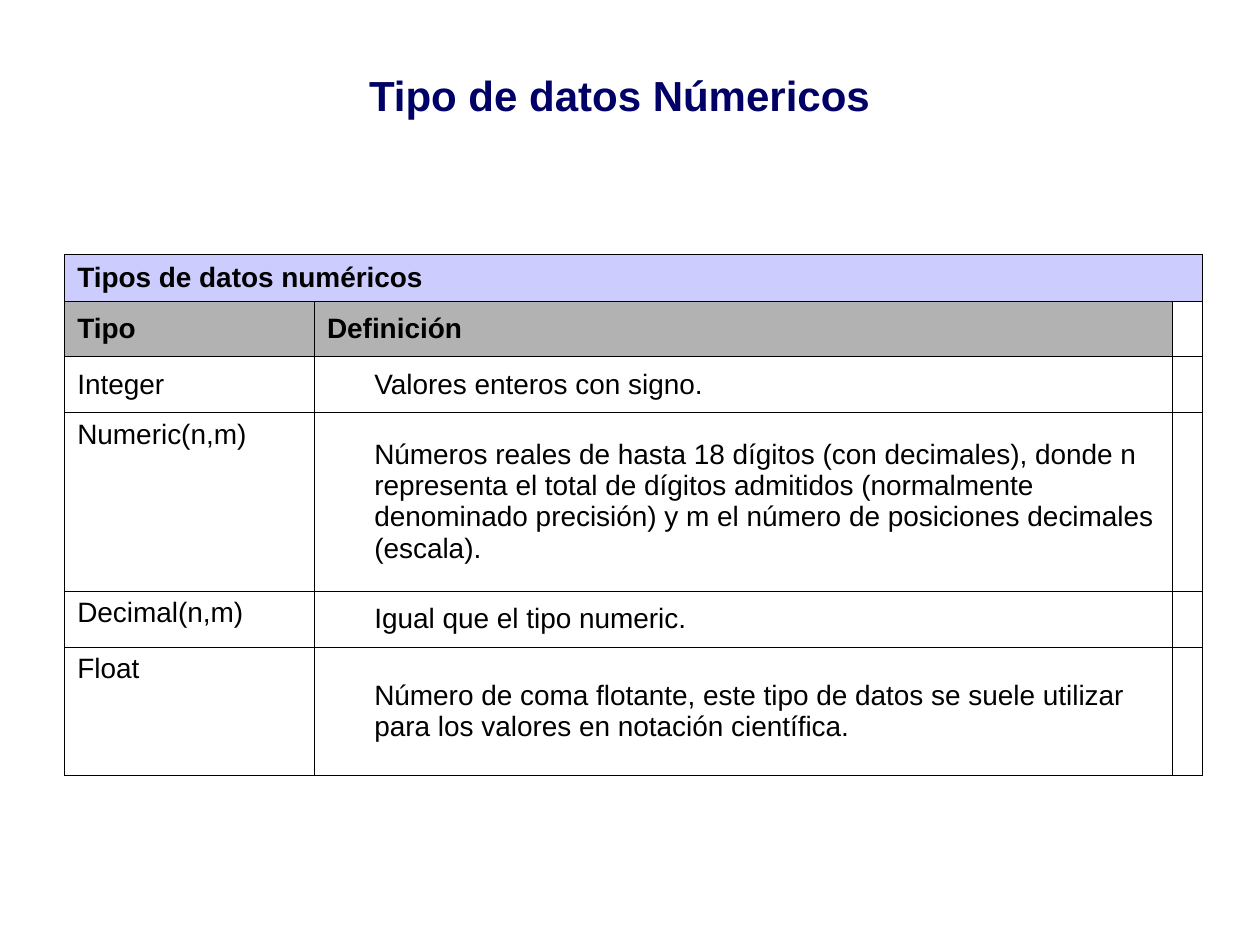
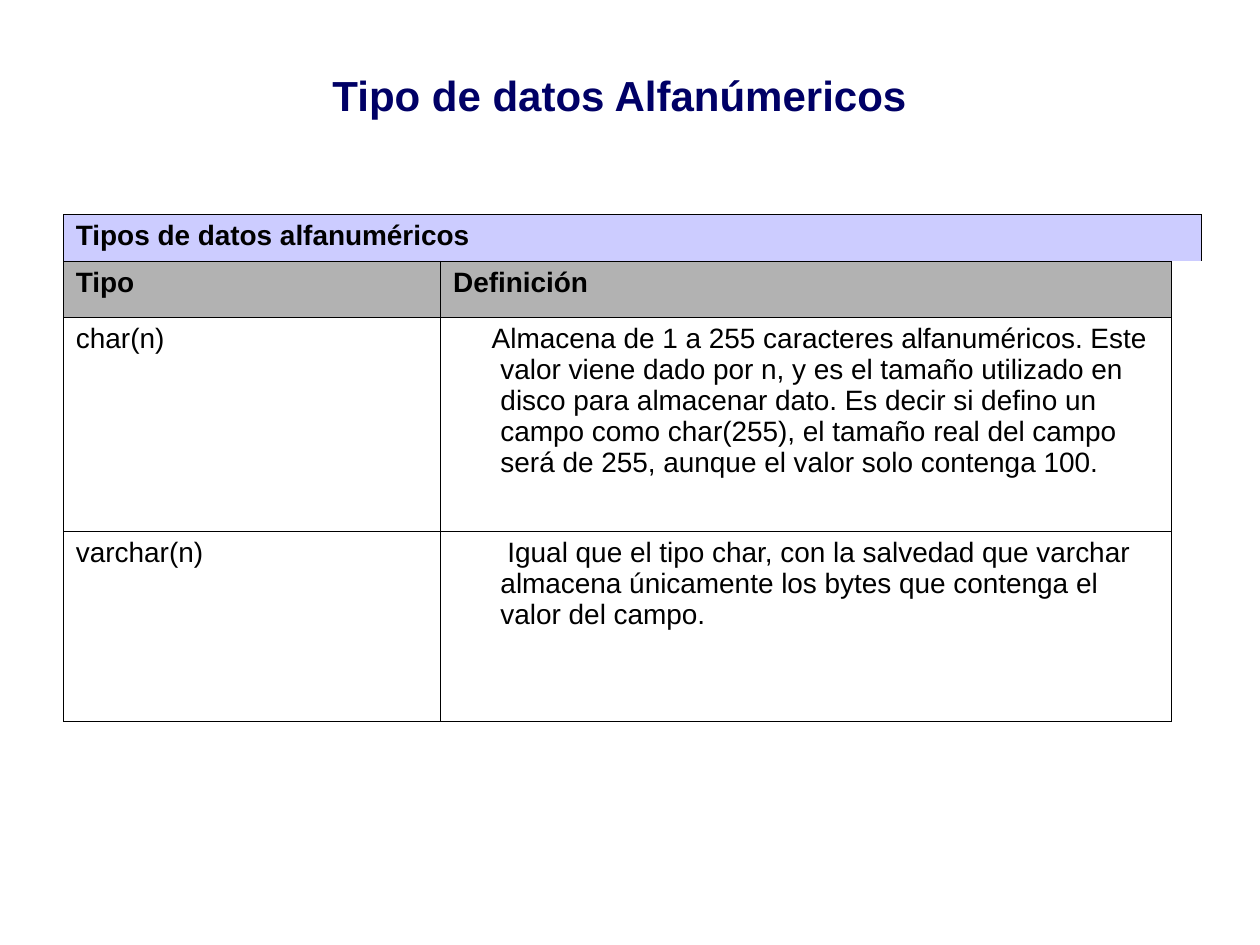
import pptx
import pptx.util
import pptx.dml.color
import pptx.enum.text
import pptx.oxml.ns
import lxml.etree

Pt = pptx.util.Pt
Align = pptx.enum.text.PP_ALIGN
Anchor = pptx.enum.text.MSO_ANCHOR
TOP, MID = Anchor.TOP, Anchor.MIDDLE

FONT = "Arial"
HANG = 27
HUES = {"title": "000066", "text": "000000", "line": "000000",
        "band": "CCCCFF", "head": "B2B2B2"}


def paint(hue):
    return pptx.dml.color.RGBColor.from_string(HUES[hue])


def add_run(para, text, size, hue, bold=False):
    run = para.add_run()
    run.text = text
    run.font.name = FONT
    run.font.size = Pt(size)
    run.font.bold = bold
    run.font.color.rgb = paint(hue)


def add_title(slide, text):
    title = slide.shapes.title
    title.left, title.top, title.width, title.height = Pt(108), Pt(30), Pt(492), Pt(48)
    frame = title.text_frame
    frame.word_wrap = True
    frame.auto_size = pptx.enum.text.MSO_AUTO_SIZE.NONE
    frame.vertical_anchor = MID
    para = frame.paragraphs[0]
    para.alignment = Align.CENTER
    add_run(para, text, 24, "title", True)


def add_child(node, tag, **attrs):
    return lxml.etree.SubElement(node, pptx.oxml.ns.qn(tag), **attrs)


def rule_cell(cell, sides):
    props = cell._tc.get_or_add_tcPr()
    for side in "LRTB":
        line = add_child(props, "a:ln" + side, w=str(Pt(0.34)))
        if side in sides:
            fill = add_child(line, "a:solidFill")
            add_child(fill, "a:srgbClr", val=HUES["line"])
        else:
            add_child(line, "a:noFill")


def style_cell(cell, sides, hue=None):
    rule_cell(cell, sides)
    if hue:
        cell.fill.solid()
        cell.fill.fore_color.rgb = paint(hue)
    else:
        cell.fill.background()
    cell.text_frame.paragraphs[0].font.size = Pt(16)


def write_cell(cell, text, anchor, first=-HANG, bold=False):
    cell.vertical_anchor = anchor
    para = cell.text_frame.paragraphs[0]
    para.alignment = Align.JUSTIFY if bold else Align.LEFT
    props = para._p.get_or_add_pPr()
    props.set("marL", str(Pt(HANG)))
    props.set("indent", str(Pt(first)))
    add_run(para, text, 16, "text", bold)


def add_types(slide, left, top, cols, rows, band, anchor, types, edge):
    frame = slide.shapes.add_table(len(rows), len(cols), Pt(left), Pt(top),
                                   Pt(sum(cols)), Pt(sum(rows)))
    table = frame.table
    table.first_row = table.horz_banding = False
    for col, width in zip(table.columns, cols):
        col.width = Pt(width)
    for row, height in zip(table.rows, rows):
        row.height = Pt(height)

    for cell in table.rows[0].cells:
        style_cell(cell, "LRTB", "band")
    for row in list(table.rows)[1:]:
        hue = "head" if row is not None and row._tr is table.rows[1]._tr else None
        name, note, spare = row.cells
        style_cell(name, "LRTB", hue)
        style_cell(note, "LRTB", hue)
        style_cell(spare, edge)

    table.cell(0, 0).merge(table.cell(0, 2))
    write_cell(table.cell(0, 0), band, anchor, bold=True)
    for col, text in enumerate(("Tipo", "Definición")):
        write_cell(table.cell(1, col), text, anchor, bold=True)
    for row, (name, place, note, first) in enumerate(types, 2):
        write_cell(table.cell(row, 0), name, place)
        write_cell(table.cell(row, 1), note, anchor, first)


def main():
    deck = pptx.Presentation()
    deck.slide_width, deck.slide_height = Pt(720), Pt(540)
    plan = deck.slide_layouts[5]

    slide = deck.slides.add_slide(plan)
    add_title(slide, "Tipo de datos Númericos")
    add_types(
        slide, 37, 145.4, (142.7, 490.3, 17.2), (26.5, 32, 32, 101.8, 32, 73.6),
        "Tipos de datos numéricos", MID,
        [("Integer", MID, "Valores enteros con signo.", 0),
         ("Numeric(n,m)", TOP,
          "Números reales de hasta 18 dígitos (con decimales), donde n representa "
          "el total de dígitos admitidos (normalmente denominado precisión) y m "
          "el número de posiciones decimales (escala).", 0),
         ("Decimal(n,m)", TOP, "Igual que el tipo numeric.", 0),
         ("Float", TOP,
          "Número de coma flotante, este tipo de datos se suele utilizar para los "
          "valores en notación científica.", 0)],
        "LRTB")

    slide = deck.slides.add_slide(plan)
    add_title(slide, "Tipo de datos Alfanúmericos")
    add_types(
        slide, 36.2, 122.5, (215.6, 417.7, 17.2), (26.7, 32, 122.3, 108.6),
        "Tipos de datos alfanuméricos", TOP,
        [("char(n)", TOP,
          "Almacena de 1 a 255 caracteres alfanuméricos. Este valor viene dado por "
          "n, y es el tamaño utilizado en disco para almacenar dato. Es decir si "
          "defino un campo como char(255), el tamaño real del campo será de 255, "
          "aunque el valor solo contenga 100.", -5),
         ("varchar(n)", TOP,
          "Igual que el tipo char, con la salvedad que varchar almacena únicamente "
          "los bytes que contenga el valor del campo.", 4)],
        "L")

    deck.save("out.pptx")


if __name__ == "__main__":
    main()
